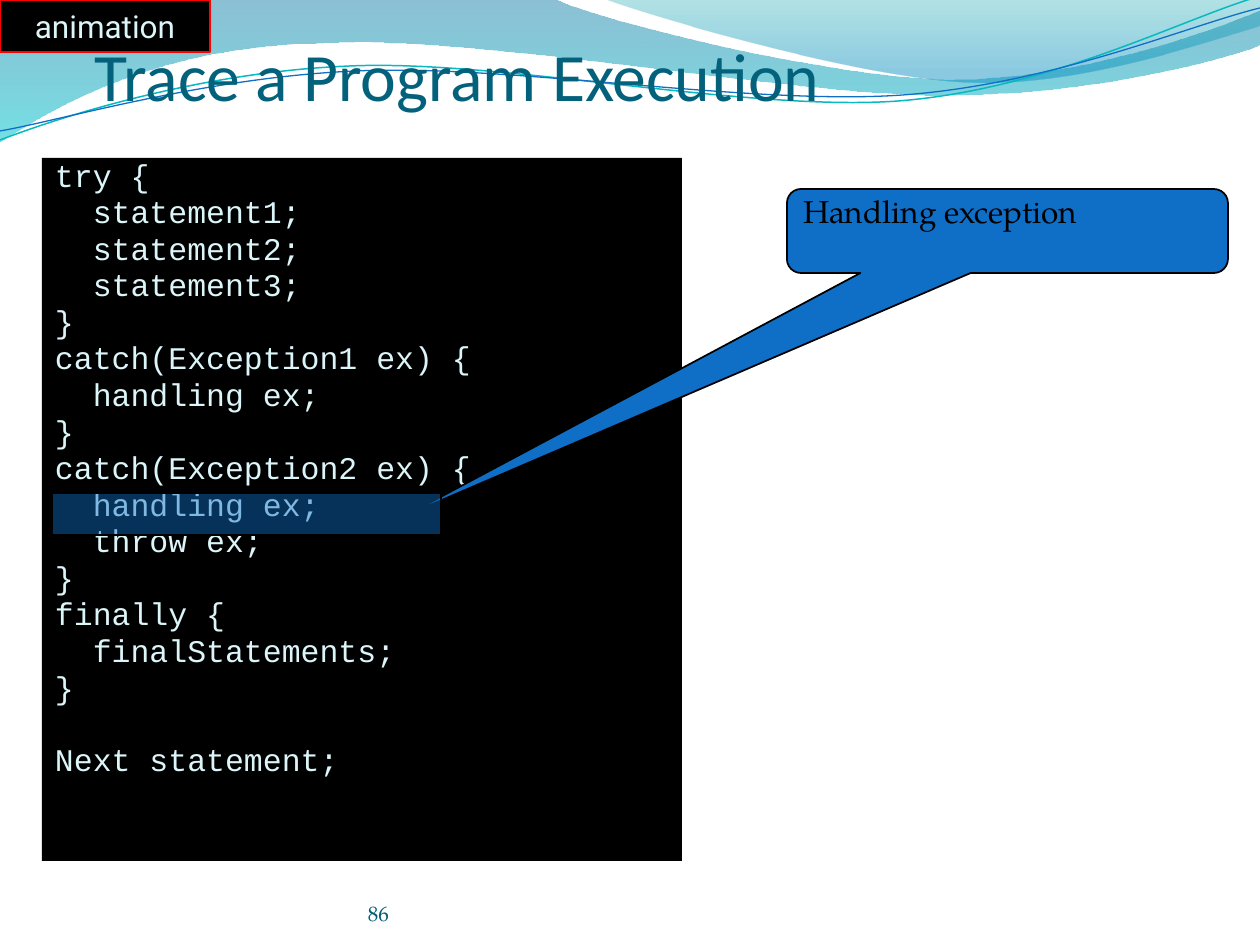
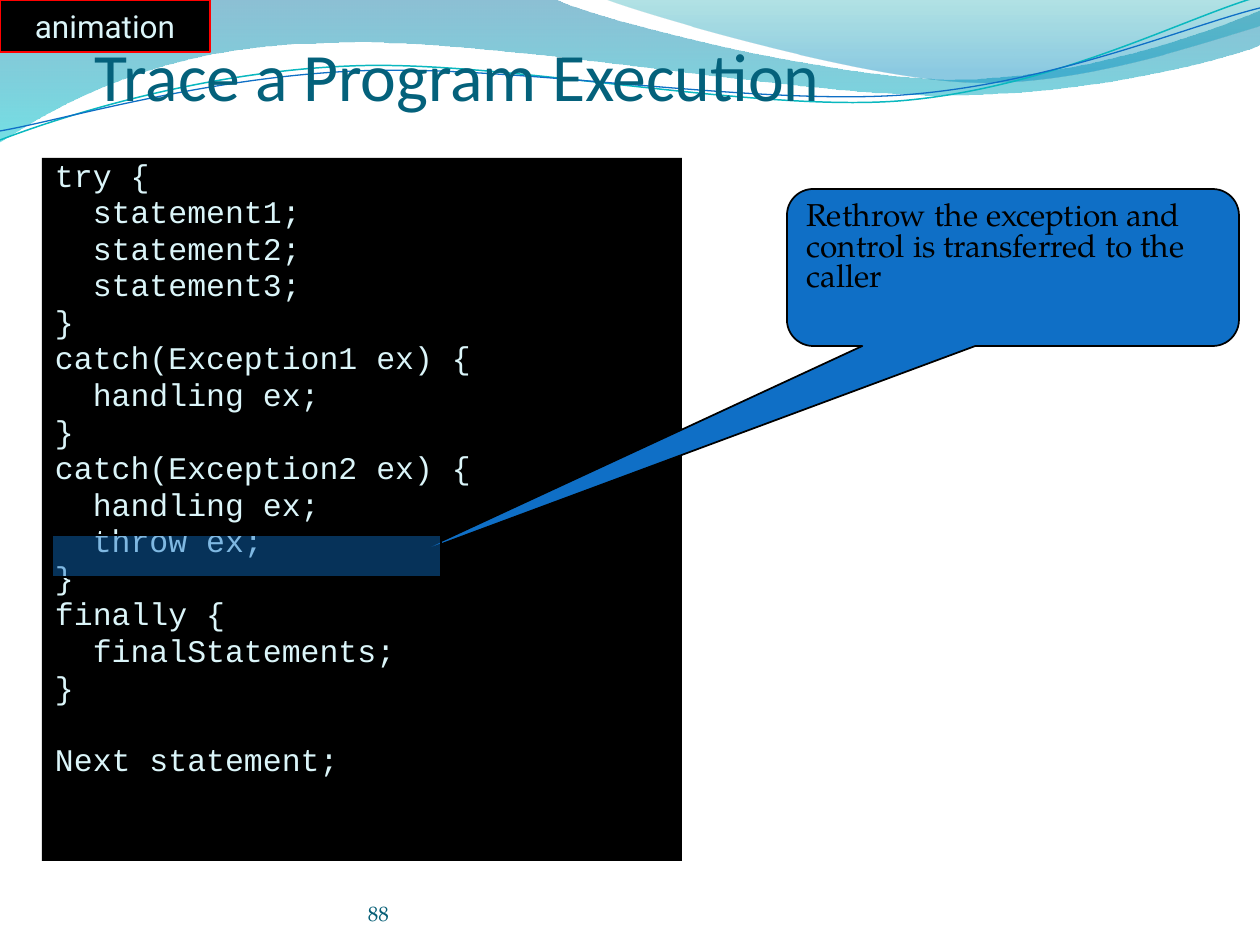
from pptx import Presentation
from pptx.dml.color import RGBColor
from pptx.enum.shapes import MSO_SHAPE
from pptx.enum.text import MSO_ANCHOR, PP_ALIGN
from pptx.oxml.ns import qn
from pptx.util import Pt
from lxml.etree import SubElement

PX = 914400 / 126
WIDE, HIGH = 1260, 945

HUES = {
    "black": "000000", "red": "FF0000", "blue": "0F6FC6", "ice": "DBF5F9",
    "title": "04617B", "page": "045D75", "teal": "0AB8BF",
    "deep": "0074A1", "cyan": "00C6CF", "sea": "00A1A9", "sky": "008BBF",
}
SERIF = "TeX Gyre Pagella"

# A pair is a straight step; six numbers are a cubic curve.
WAVE = [(0, 0), (554, -1), (600, 21, 837, 79, 955, 79),
        (1075, 79, 1207, 33, 1260, 11), (1261, 45),
        (1239, 55, 1096, 96, 940, 95), (784, 95, 481, 35, 324, 43),
        (161, 45, 58, 105, -1, 142)]
CREST = [(604, -1), (641, 14, 859, 78, 969, 82),
         (1079, 87, 1211, 40, 1260, 26), (1260, 0)]
BANDS = [
    (WAVE, [(0, "deep", 45), (1, "cyan", 55)]),
    (CREST, [(0, "sea", 30), (0.8, "sky", 45)]),
]
STRANDS = [
    ([(0, 140), (60, 117, 199, 72, 349, 66), (498, 59, 747, 112, 898, 101),
      (1050, 89, 1182, 19, 1257, -3)], "teal", 0.85),
    ([(0, 131), (59, 121, 207, 77, 357, 71), (508, 64, 752, 106, 903, 95),
      (1053, 84, 1187, 26, 1260, 8)], "blue", 0.75),
]

CODE = """try {
  statement1;
  statement2;
  statement3;
}
catch(Exception1 ex) {
  handling ex;
}
catch(Exception2 ex) {
  handling ex;
  throw ex;
}
finally {
  finalStatements;
}

Next statement;"""

STEPS = [
    ("86", "Handling exception", (787, 189, 441, 84), 493),
    ("88", "Rethrow the exception and control is transferred to the caller",
     (787, 189, 452, 157), 535),
]


def emu(*nums):
    return [round(n * PX) for n in nums]


def hue(name):
    return RGBColor.from_string(HUES[name])


def fade(shape, rates):
    """Set the opacity, in percent, of each fill colour in turn."""
    tones = shape.element.spPr.iter(qn("a:srgbClr"))
    for tone, rate in zip(list(tones), rates):
        SubElement(tone, qn("a:alpha"), val=str(rate * 1000))


def bend(shape, path):
    """Join each curve's three straight steps into one cubic curve."""
    lines = iter(list(shape.element.iter(qn("a:lnTo"))))
    for step in path[1:]:
        first = next(lines)
        if len(step) == 6:
            first.tag = qn("a:cubicBezTo")
            for _ in range(2):
                line = next(lines)
                first.append(line[0])
                line.getparent().remove(line)


def outline(slide, path, close):
    dots = [emu(*step[i:i + 2]) for step in path
            for i in range(0, len(step), 2)]
    pen = slide.shapes.build_freeform(*dots[0], scale=1)
    pen.add_line_segments(dots[1:], close=close)
    shape = pen.convert_to_shape()
    bend(shape, path)
    shape.shadow.inherit = False
    return shape


def waves(slide):
    for path, stops in BANDS:
        band = outline(slide, path, True)
        band.line.fill.background()
        band.fill.gradient()
        band.fill.gradient_angle = 270
        for stop, (place, name, _) in zip(band.fill.gradient_stops, stops):
            stop.position = place
            stop.color.rgb = hue(name)
        fade(band, [stop[2] for stop in stops])
    for path, name, width in STRANDS:
        strand = outline(slide, path, False)
        strand.fill.background()
        strand.line.color.rgb = hue(name)
        strand.line.width = Pt(width)


def block(slide, box, fill, edge=None, kind=MSO_SHAPE.RECTANGLE):
    shape = slide.shapes.add_shape(kind, *emu(*box))
    shape.shadow.inherit = False
    shape.fill.solid()
    shape.fill.fore_color.rgb = hue(fill)
    if edge:
        shape.line.color.rgb = hue(edge)
        shape.line.width = Pt(1)
    else:
        shape.line.fill.background()
    return shape


def write(shape, text, font, size, color, anchor=MSO_ANCHOR.TOP,
          align=PP_ALIGN.LEFT, pads=(13, 6, 13, 6), wrap=True):
    frame = shape.text_frame
    frame.word_wrap = wrap
    frame.vertical_anchor = anchor
    (frame.margin_left, frame.margin_top,
     frame.margin_right, frame.margin_bottom) = emu(*pads)
    frame.text = text
    for para in frame.paragraphs:
        para.alignment = align
        para.font.name = font
        para.font.size = Pt(size)
        para.font.color.rgb = hue(color)
    return frame.paragraphs


def label(slide, box, text, font, size, color, pads):
    shape = slide.shapes.add_textbox(*emu(*box))
    write(shape, text, font, size, color, MSO_ANCHOR.BOTTOM, pads=pads)


def badge(slide, box):
    shape = block(slide, box, "black", "red")
    write(shape, "animation", "Roboto", 18, "ice", MSO_ANCHOR.MIDDLE,
          PP_ALIGN.CENTER, wrap=False)


def listing(slide, box):
    """Show the code; an empty line becomes space before the next one."""
    shape = block(slide, box, "black")
    lines = write(shape, CODE.replace("\n\n", "\n"), "Courier New", 18,
                  "ice", pads=(13, 5, 13, 6))
    for line in lines:
        line.line_spacing = 0.8
    for line in lines[1:]:
        line.space_before = Pt(3.6)
    lines[-1].space_before = Pt(24.4)


def callout(slide, box, text, tip):
    left, top, width, height = box
    shape = block(slide, box, "blue", "black",
                  MSO_SHAPE.ROUNDED_RECTANGULAR_CALLOUT)
    shape.adjustments[0] = (tip[0] - left) / width - 0.5
    shape.adjustments[1] = (tip[1] - top) / height - 0.5
    shape.adjustments[2] = 0.167
    for para in write(shape, text, SERIF, 18, "black", pads=(12, 6, 13, 6)):
        para.line_spacing = 0.8


def step(deck, page, note, box, mark):
    slide = deck.slides.add_slide(deck.slide_layouts[6])
    waves(slide)
    label(slide, (368, 876, 462, 50), page, SERIF, 12, "page", (0, 0, 0, 0))
    label(slide, (95, 42, 1071, 73), "Trace a Program Execution", "Calibri",
          38.7, "title", (0, 6, 0, 0))
    badge(slide, (0, 0, 210, 52))
    listing(slide, (42, 158, 640, 703))
    callout(slide, box, note, (407, mark + 22))
    fade(block(slide, (52, mark, 389, 42), "blue", "black"), [45])


def main():
    deck = Presentation()
    deck.slide_width, deck.slide_height = emu(WIDE, HIGH)
    for parts in STEPS:
        step(deck, *parts)
    deck.save("out.pptx")


if __name__ == "__main__":
    main()
